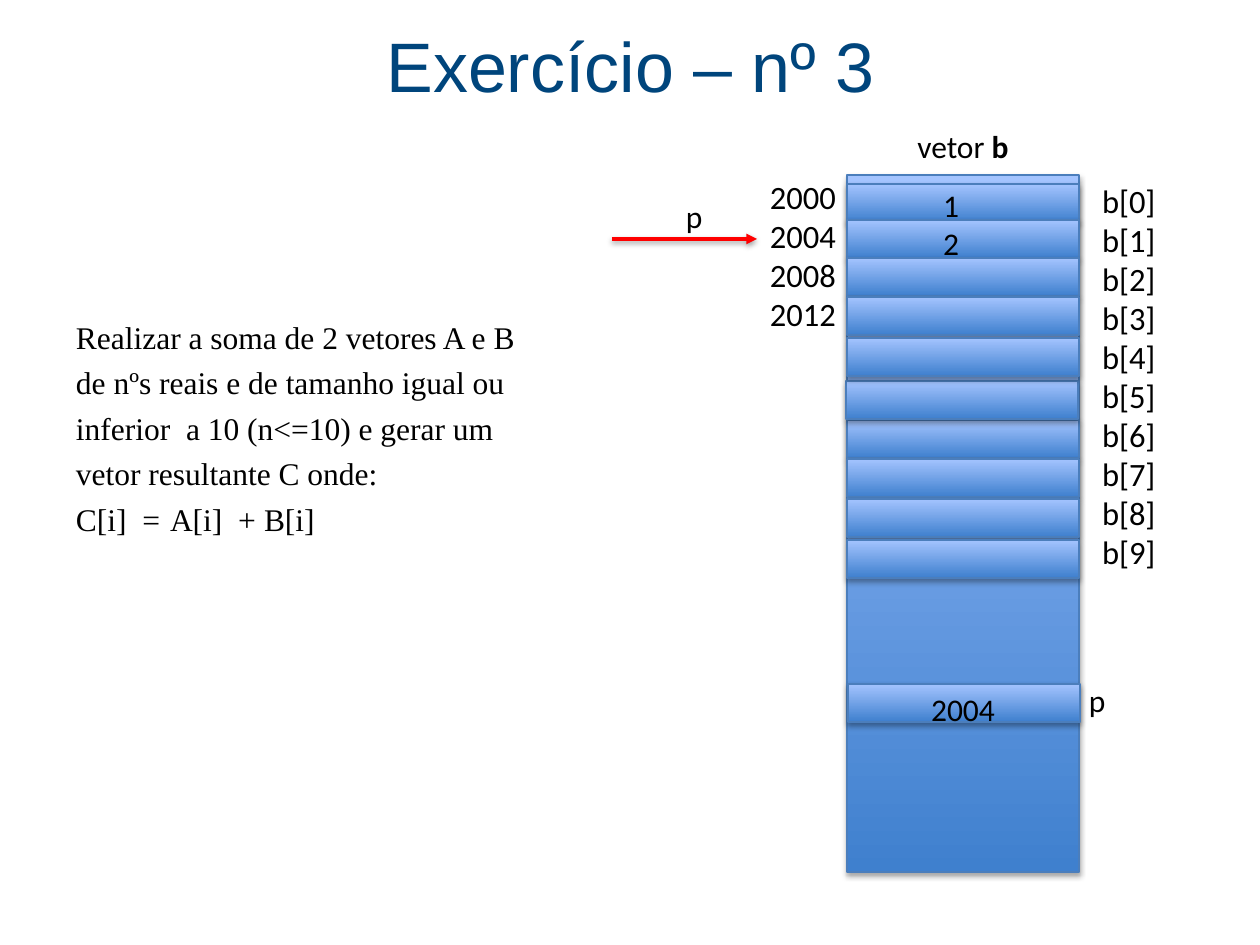
import pptx
import pptx.dml.color
import pptx.enum.shapes
import pptx.enum.text
import pptx.oxml
import pptx.oxml.ns
import pptx.util

PX = 914400 / 126
COLORS = {
    "title": "00457C",
    "text": "000000",
    "dark": "3F80CE",
    "light": "A4C4FF",
    "edge": "4B7EBC",
    "arrow": "FF0000",
}
ALIGN = pptx.enum.text.PP_ALIGN

TITLE = "Exercício – nº 3"
STATEMENT = [
    "Realizar a soma de 2 vetores A e B",
    "de nºs reais e de tamanho igual ou",
    "inferior  a 10 (n<=10) e gerar um",
    "vetor resultante C onde:",
    "C[i]  =\tA[i]  +\tB[i]",
]
STATEMENT_TABS = [94, 188]
ADDRESSES = ["2000", "2004", "2008", "2012"]
INDEXES = [f"b[{index}]" for index in range(10)]

MEMORY = (847, 175, 232, 697)
CELL_HEIGHT = 38
CELLS = [
    (847, 184), (847, 220), (847, 258), (847, 297), (847, 420),
    (846, 381), (847, 338), (847, 459), (847, 499), (847, 540),
    (848, 684),
]
CENTERED_LABELS = [
    (["1", "2"], 951, 186),
    (["2004"], 963, 690),
    (["p"], 694, 197),
    (["p"], 1097, 681),
    (["vetor b"], 963, 127),
]
LABEL_WIDTH = 120
LINE_HEIGHT = 38
ARROW = (612, 239, 757, 239)


def emu(*lengths):
    return [round(length * PX) for length in lengths]


def color(name):
    return pptx.dml.color.RGBColor.from_string(COLORS[name])


def add_shadow(shape, alpha, distance):
    namespace = pptx.oxml.ns.nsdecls("a")
    shape._element.spPr.append(pptx.oxml.parse_xml(
        f'<a:effectLst {namespace}><a:outerShdw blurRad="40000" dist="{distance}" '
        f'dir="5400000" rotWithShape="0"><a:srgbClr val="000000">'
        f'<a:alpha val="{alpha}"/></a:srgbClr></a:outerShdw></a:effectLst>'))


def add_text(page, lines, place, size, font="Calibri", ink="text", align=ALIGN.LEFT):
    box = page.shapes.add_textbox(*emu(*place))
    frame = box.text_frame
    frame.word_wrap = True
    frame.margin_left = frame.margin_right = 0
    frame.margin_top = frame.margin_bottom = 0
    frame.text = "\n".join(lines)
    for para in frame.paragraphs:
        para.alignment = align
        for span in para.runs:
            span.font.size = pptx.util.Pt(size)
            span.font.name = font
            span.font.color.rgb = color(ink)
    return frame


def add_block(page, place):
    block = page.shapes.add_shape(
        pptx.enum.shapes.MSO_SHAPE.RECTANGLE, *emu(*place))
    block.fill.gradient()
    block.fill.gradient_angle = 90
    for stop, name in zip(block.fill.gradient_stops, ["dark", "light"]):
        stop.color.rgb = color(name)
    block.line.color.rgb = color("edge")
    block.line.width = pptx.util.Pt(0.75)
    add_shadow(block, 35000, 23000)


def add_arrow(page):
    arrow = page.shapes.add_connector(
        pptx.enum.shapes.MSO_CONNECTOR.STRAIGHT, *emu(*ARROW))
    arrow.line.color.rgb = color("arrow")
    arrow.line.width = pptx.util.Pt(2)
    arrow.line._get_or_add_ln().append(pptx.oxml.parse_xml(
        f'<a:tailEnd {pptx.oxml.ns.nsdecls("a")} type="triangle"/>'))
    add_shadow(arrow, 38000, 20000)


def add_statement(page):
    frame = add_text(page, STATEMENT, (76, 318, 470, 220), 18,
                     "Times New Roman", align=ALIGN.JUSTIFY)
    for para in frame.paragraphs[1:]:
        para.space_before = pptx.util.Pt(4.4)
    stops = "".join(f'<a:tab pos="{pos}" algn="l"/>' for pos in emu(*STATEMENT_TABS))
    frame.paragraphs[-1]._p.get_or_add_pPr().append(pptx.oxml.parse_xml(
        f'<a:tabLst {pptx.oxml.ns.nsdecls("a")}>{stops}</a:tabLst>'))


def add_labels(page):
    add_text(page, INDEXES, (1102, 181, 95, 400), 18.6)
    add_text(page, ADDRESSES, (770, 177, 76, 160), 18.6)
    for lines, center, top in CENTERED_LABELS:
        place = (center - LABEL_WIDTH / 2, top, LABEL_WIDTH, LINE_HEIGHT * len(lines))
        frame = add_text(page, lines, place, 18, align=ALIGN.CENTER)
    heading = frame.paragraphs[0]
    heading.runs[0].text = "vetor "
    name = heading.add_run()
    name.text = "b"
    name.font.bold = True
    name.font.size = pptx.util.Pt(18)
    name.font.name = "Calibri"
    name.font.color.rgb = color("text")


def main():
    deck = pptx.Presentation()
    deck.slide_width, deck.slide_height = emu(1260, 945)
    page = deck.slides.add_slide(deck.slide_layouts[6])
    add_statement(page)
    title = add_text(page, [TITLE], (44, 4, 1173, 120), 40, "Arial", "title", ALIGN.CENTER)
    title.vertical_anchor = pptx.enum.text.MSO_ANCHOR.MIDDLE
    add_block(page, MEMORY)
    for left, top in CELLS:
        add_block(page, (left, top, MEMORY[2], CELL_HEIGHT))
    add_arrow(page)
    add_labels(page)
    deck.save("out.pptx")


if __name__ == "__main__":
    main()
